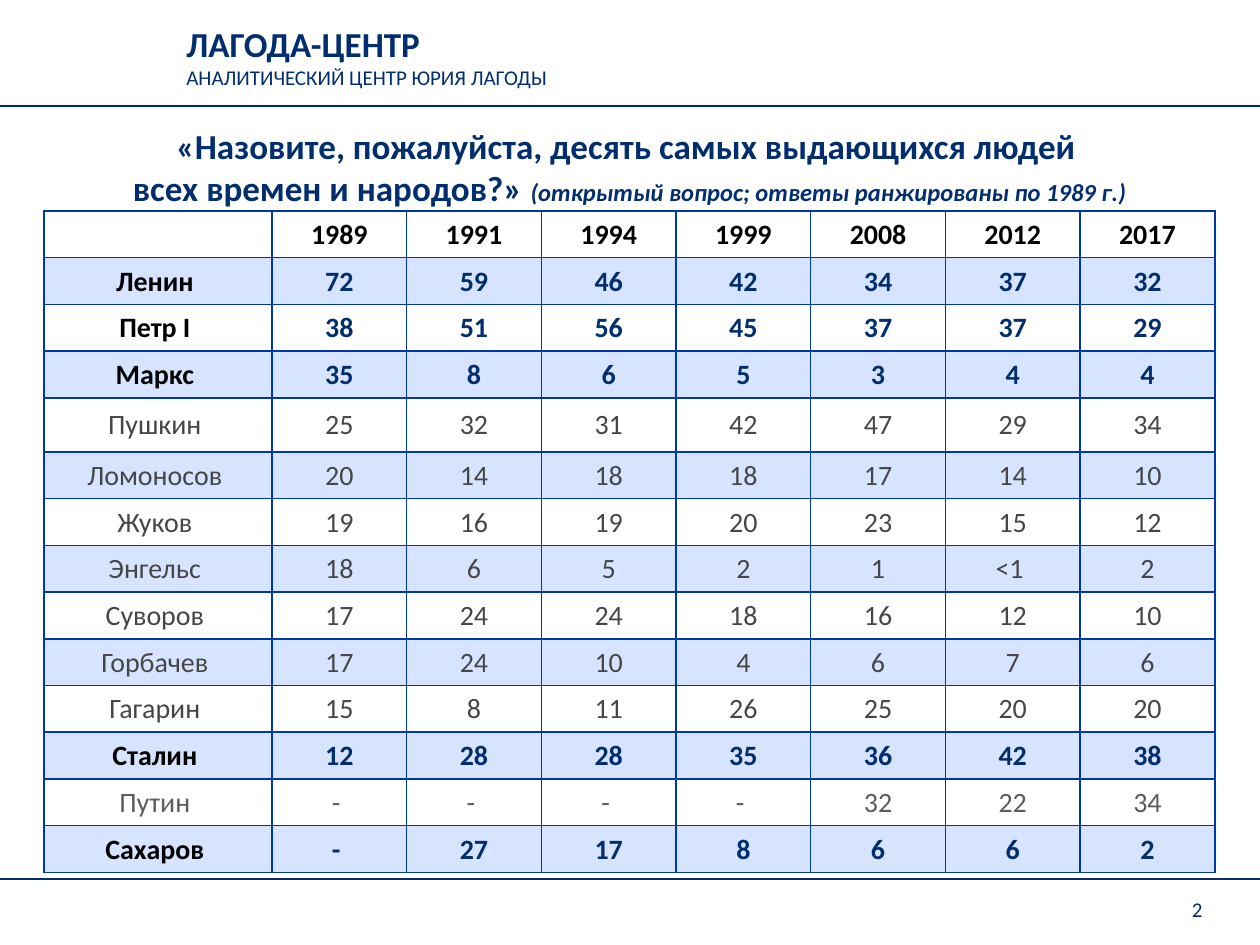
from dataclasses import dataclass

from lxml import etree
from pptx import Presentation, util as u
from pptx.dml.color import RGBColor
from pptx.enum import text
from pptx.oxml.ns import qn


@dataclass(frozen=True)
class Theme:
    font: str = "Calibri"
    navy: str = "002E6E"
    grid: str = "0038A8"
    band: str = "D6E4FF"
    white: str = "FFFFFF"
    black: str = "000000"
    gray: str = "464646"
    pale: str = "5C5C5C"
    head: int = 20
    cell: int = 16
    note: int = 14
    small: int = 12


def px(n):
    return u.Inches(n / 126)


def rgb(code):
    return RGBColor.from_string(code)


class Deck:
    def __init__(self, theme):
        self.theme = theme
        self.prs = Presentation()
        self.prs.slide_width, self.prs.slide_height = px(1260), px(945)
        self.slide = self.prs.slides.add_slide(self.prs.slide_layouts[5])

    def style(self, run, size, color, bold=False, italic=False):
        font = run.font
        font.name, font.size = self.theme.font, u.Pt(size)
        font.bold, font.italic = bold, italic
        font.color.rgb = rgb(color)

    def fill_text(self, frame, paras, align):
        """Each paragraph is a list of (words, size, bold, italic)."""
        frame.word_wrap = True
        frame.auto_size = text.MSO_AUTO_SIZE.NONE
        for i, runs in enumerate(paras):
            para = frame.paragraphs[0] if i == 0 else frame.add_paragraph()
            para.alignment = align
            for words, *look in runs:
                run = para.add_run()
                run.text = words
                self.style(run, look[0], self.theme.navy, *look[1:])

    def title(self, box, paras):
        shape = self.slide.shapes.title
        shape.left, shape.top, shape.width, shape.height = map(px, box)
        shape.fill.solid()
        shape.fill.fore_color.rgb = rgb(self.theme.white)
        shape.text_frame.vertical_anchor = text.MSO_ANCHOR.TOP
        self.fill_text(shape.text_frame, paras, text.PP_ALIGN.CENTER)

    def label(self, box, paras, align=text.PP_ALIGN.LEFT,
              anchor=text.MSO_ANCHOR.TOP):
        frame = self.slide.shapes.add_textbox(*map(px, box)).text_frame
        frame.vertical_anchor = anchor
        self.fill_text(frame, paras, align)

    def rule(self, y):
        line = self.slide.shapes.add_connector(1, 0, px(y), px(1260), px(y))
        line.line.color.rgb = rgb(self.theme.navy)
        line.line.width = u.Pt(1.5)
        etree.SubElement(line._element.spPr, qn("a:effectLst"))

    def border(self, cell):
        props = cell._tc.get_or_add_tcPr()
        for i, side in enumerate(("lnL", "lnR", "lnT", "lnB")):
            line = etree.Element(qn("a:" + side), w=str(u.Pt(1)))
            solid = etree.SubElement(line, qn("a:solidFill"))
            etree.SubElement(solid, qn("a:srgbClr"), val=self.theme.grid)
            props.insert(i, line)

    def cell(self, cell, words, back, color, bold):
        cell.fill.solid()
        cell.fill.fore_color.rgb = rgb(back)
        cell.margin_left = cell.margin_right = cell.margin_top = px(1)
        cell.margin_bottom = 0
        cell.vertical_anchor = text.MSO_ANCHOR.MIDDLE
        self.border(cell)
        if words:
            cell.text_frame.text = words
            para = cell.text_frame.paragraphs[0]
            para.alignment = text.PP_ALIGN.CENTER
            self.style(para.runs[0], self.theme.cell, color, bold)

    def table(self, box, years, people, first, tall):
        """first is the name column's width; tall maps a row to its height."""
        th = self.theme
        rows, cols = len(people) + 1, len(years) + 1
        grid = self.slide.shapes.add_table(rows, cols, *map(px, box)).table
        wide = (box[2] - first) / len(years)
        high = (box[3] - sum(tall.values())) / (rows - len(tall))
        for c, col in enumerate(grid.columns):
            col.width = px(wide if c else first)
        for r, row in enumerate(grid.rows):
            row.height = px(tall.get(r, high))
        for c, year in enumerate(["", *years]):
            self.cell(grid.cell(0, c), year, th.white, th.black, True)
        for r, (name, color, marks) in enumerate(people, 1):
            bold = color == th.navy
            back = th.band if r % 2 else th.white
            self.cell(grid.cell(r, 0), name + " ", back,
                      th.black if bold else color, bold)
            for c, mark in enumerate(marks.split(), 1):
                words = mark if mark.isdigit() else mark + " "
                self.cell(grid.cell(r, c), words, back, color, bold)


def main():
    th = Theme()
    deck = Deck(th)

    # Header and rules
    deck.label((174, 16, 665, 81), [
        [("ЛАГОДА-ЦЕНТР", th.head, True)],
        [("АНАЛИТИЧЕСКИЙ ЦЕНТР ЮРИЯ ЛАГОДЫ", th.small)],
    ])
    for y in (106, 879):
        deck.rule(y)

    # Question
    deck.title((0, 118, 1260, 97), [
        [("«Назовите, пожалуйста, десять самых выдающихся людей ",
          th.head, True)],
        [("всех времен и народов?» ", th.head, True),
         ("(открытый вопрос; ответы ранжированы по 1989 г.)",
          th.note, True, True)],
    ])

    # Answers by year, in percent; navy rows are the stressed ones
    years = ["1989", "1991", "1994", "1999", "2008", "2012", "2017"]
    people = [
        ("Ленин", th.navy, "72 59 46 42 34 37 32"),
        ("Петр I", th.navy, "38 51 56 45 37 37 29"),
        ("Маркс", th.navy, "35 8 6 5 3 4 4"),
        ("Пушкин", th.gray, "25 32 31 42 47 29 34"),
        ("Ломоносов", th.gray, "20 14 18 18 17 14 10"),
        ("Жуков", th.gray, "19 16 19 20 23 15 12"),
        ("Энгельс", th.gray, "18 6 5 2 1 <1 2"),
        ("Суворов", th.gray, "17 24 24 18 16 12 10"),
        ("Горбачев", th.gray, "17 24 10 4 6 7 6"),
        ("Гагарин", th.gray, "15 8 11 26 25 20 20"),
        ("Сталин", th.navy, "12 28 28 35 36 42 38"),
        ("Путин", th.pale, "- - - - 32 22 34"),
        ("Сахаров", th.navy, "- 27 17 8 6 6 2"),
    ]
    deck.table((44, 211, 1171, 662), years, people, 228, {4: 54})

    # Page number
    deck.label((1126, 890, 89, 39), [[("2", th.small)]],
               text.PP_ALIGN.RIGHT, text.MSO_ANCHOR.MIDDLE)

    deck.prs.save("out.pptx")


if __name__ == "__main__":
    main()
